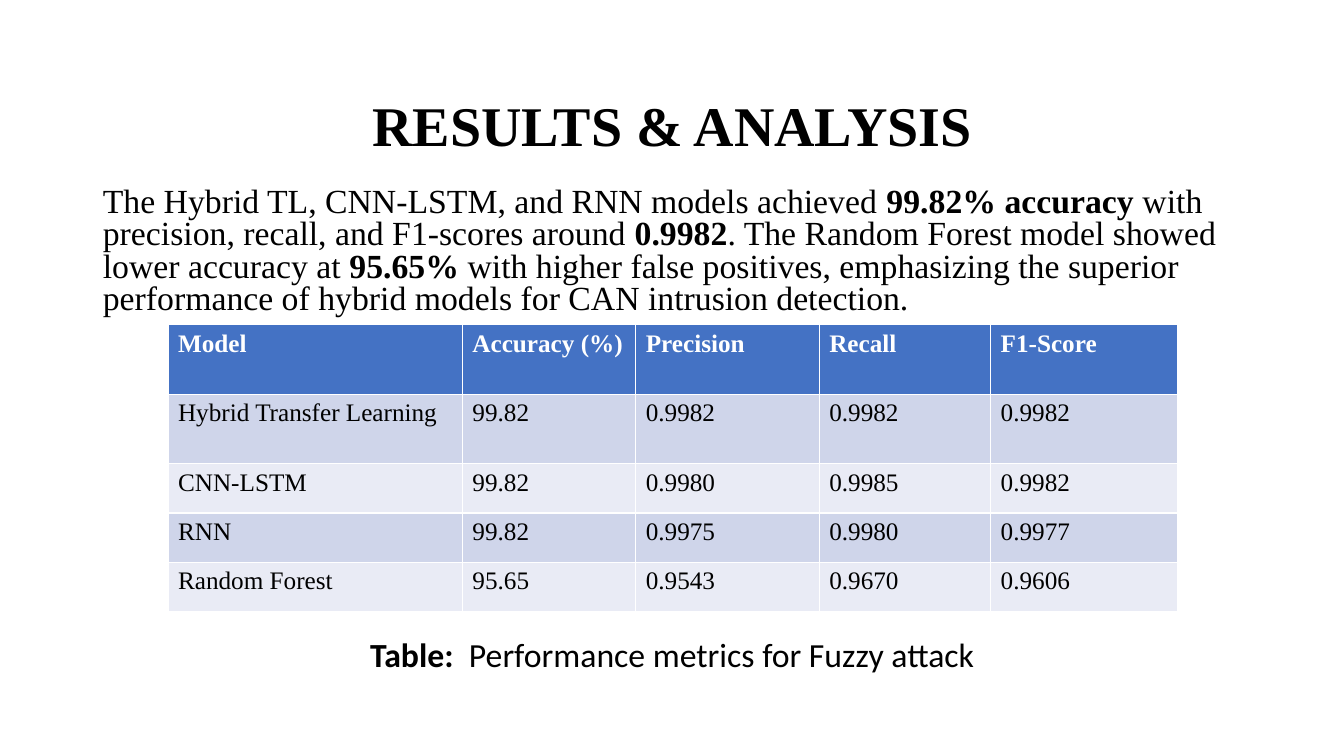
import pptx
import pptx.util
import pptx.dml.color
import pptx.enum.text

Inches, Pt = pptx.util.Inches, pptx.util.Pt
ALIGN = pptx.enum.text.PP_ALIGN
ANCHOR = pptx.enum.text.MSO_ANCHOR

# Content: (text, bold) pieces, then the table rows
HEADING = [("RESULTS & ANALYSIS", True)]
SUMMARY = [
    ("The Hybrid TL, CNN-LSTM, and RNN models achieved ", False),
    ("99.82% accuracy", True),
    (" with precision, recall, and F1-scores around ", False),
    ("0.9982", True),
    (". The Random Forest model showed lower accuracy at ", False),
    ("95.65%", True),
    (" with higher false positives, emphasizing the superior performance "
     "of hybrid models for CAN intrusion detection.", False),
]
CAPTION = [("Table:  ", True), ("Performance metrics for Fuzzy attack", False)]
METRICS = [
    ("Model", "Accuracy (%)", "Precision", "Recall", "F1-Score"),
    ("Hybrid Transfer Learning", "99.82", "0.9982", "0.9982", "0.9982"),
    ("CNN-LSTM", "99.82", "0.9980", "0.9985", "0.9982"),
    ("RNN", "99.82", "0.9975", "0.9980", "0.9977"),
    ("Random Forest", "95.65", "0.9543", "0.9670", "0.9606"),
]

# Layout in inches
WIDTH, HEIGHT = 13.33, 7.5
COLUMNS = (2.92, 1.72, 1.82, 1.7, 1.85)
ROWS = (0.69, 0.69, 0.49, 0.49, 0.49)
CONTENT_WIDTH = WIDTH * 0.75
CONTENT_LEFT = (WIDTH - CONTENT_WIDTH) / 2
TABLE_TOP = 3.22
TABLE_GAP = 232  # points left for the table between summary and caption

SERIF, SANS = "Times New Roman", "Calibri"
BLACK, WHITE, HEADER_BLUE = "000000", "FFFFFF", "4472C4"
BANDS = ("E9EBF5", "CFD5EA")


def color(value):
    return pptx.dml.color.RGBColor.from_string(value)


def write(paragraph, pieces, size, font=SERIF, ink=BLACK):
    paragraph.font.size = Pt(size)
    paragraph.font.name = font
    paragraph.font.color.rgb = color(ink)
    for text, bold in pieces:
        run = paragraph.add_run()
        run.text = text
        run.font.bold = bold


def place(holder, left, top, width, height, anchor):
    holder.left, holder.top = Inches(left), Inches(top)
    holder.width, holder.height = Inches(width), Inches(height)
    frame = holder.text_frame
    frame.word_wrap = True
    frame.auto_size = pptx.enum.text.MSO_AUTO_SIZE.NONE
    frame.vertical_anchor = anchor
    return frame


deck = pptx.Presentation()
deck.slide_width, deck.slide_height = Inches(WIDTH), Inches(HEIGHT)
slide = deck.slides.add_slide(deck.slide_layouts[0])

# Heading
heading = place(slide.shapes.title, CONTENT_LEFT, 0.83, CONTENT_WIDTH, 0.79,
                ANCHOR.BOTTOM).paragraphs[0]
heading.alignment = ALIGN.CENTER
heading.line_spacing = 0.9
write(heading, HEADING, 40)

# Summary above the table, caption below it
body = place(slide.placeholders[1], 0.92, 1.81, 11.5, 4.94, ANCHOR.TOP)
summary, caption = body.paragraphs[0], body.add_paragraph()
for paragraph, align, gap in ((summary, ALIGN.LEFT, 10),
                              (caption, ALIGN.CENTER, TABLE_GAP)):
    paragraph.alignment = align
    paragraph.line_spacing = 0.8
    paragraph.space_before = Pt(gap)
write(summary, SUMMARY, 24.1)
write(caption, CAPTION, 24.1, SANS)

# Metrics table
metrics = slide.shapes.add_table(
    len(ROWS), len(COLUMNS), Inches(CONTENT_LEFT), Inches(TABLE_TOP),
    Inches(sum(COLUMNS)), Inches(sum(ROWS))).table
for column, width in zip(metrics.columns, COLUMNS):
    column.width = Inches(width)
for index, (row, height, values) in enumerate(zip(metrics.rows, ROWS, METRICS)):
    row.height = Inches(height)
    is_header = index == 0
    for cell, value in zip(row.cells, values):
        cell.fill.solid()
        cell.fill.fore_color.rgb = color(HEADER_BLUE if is_header else BANDS[index % 2])
        write(cell.text_frame.paragraphs[0], [(value, is_header)], 18,
              ink=WHITE if is_header else BLACK)

deck.save("out.pptx")
